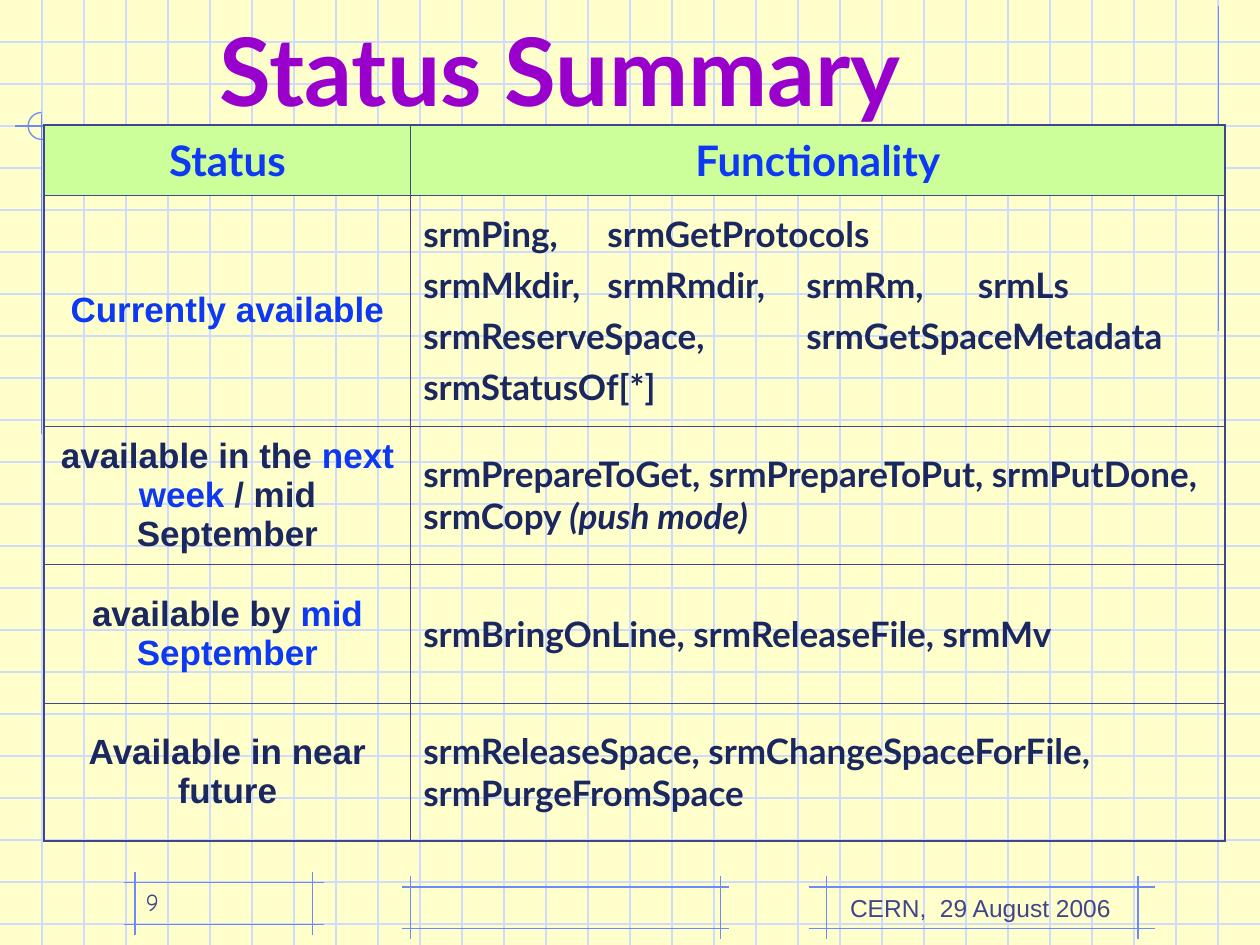
from math import cos, pi, sin

from lxml import etree
from pptx import Presentation
from pptx.dml.color import RGBColor
from pptx.enum.shapes import MSO_CONNECTOR as LINK
from pptx.enum.text import MSO_ANCHOR as ANCHOR, PP_ALIGN as ALIGN
from pptx.oxml import parse_xml
from pptx.oxml.ns import nsdecls, qn
from pptx.util import Cm, Pt

BLUE, NAVY, SLATE, RULE = "0E39F2", "1B285F", "40458C", "6F89F7"
rgb = RGBColor.from_string

deck = Presentation()
deck.slide_width, deck.slide_height = Cm(25.4), Cm(19.05)
slide = deck.slides.add_slide(deck.slide_layouts[5])
shapes = slide.shapes
slide.background.fill.solid()
slide.background.fill.fore_color.rgb = rgb("FFFFCC")


def rule(x1, y1, x2, y2, color=RULE):
    link = shapes.add_connector(LINK.STRAIGHT, Cm(x1), Cm(y1), Cm(x2), Cm(y2))
    link.line.color.rgb = rgb(color)
    link.line.width = Pt(0.75)
    etree.SubElement(link.element.spPr, qn("a:effectLst"))


def style(run, font, size, color, bold=True):
    run.font.name, run.font.size, run.font.bold = font, Pt(size), bold
    run.font.color.rgb = rgb(color)


# Graph paper, three squares to the inch
step = 2.54 / 3
for n in range(1, 23):
    rule(0, n * step, 25.4, n * step, "CFDBFD")
for n in range(1, 30):
    rule(n * step, 0, n * step, 19.05, "CFDBFD")

# Crossed frames for the footer
for left, right, top, inset in [(8.1, 14.7, 17.88, 0.17), (16.31, 23.29, 17.88, 0.35),
                                (2.49, 6.53, 17.79, 0.23)]:
    for y in (top, top + 0.84):
        rule(left, y, right, y)
    for x in (left + inset, right - inset):
        rule(x, top - 0.22, x, top + 1.05)

# Margin rules and the three-quarter circle at their corner
rule(24.56, 0.13, 24.56, 6.68)
rule(5.26, 2.54, 0.3, 2.54)
rule(0.84, 2.29, 0.84, 8.74)
turn = [pi * n / 24 for n in range(37)]
dots = [(Cm(0.84 + 0.27 * cos(a)), Cm(2.54 + 0.27 * sin(a))) for a in turn]
pen = shapes.build_freeform(*dots[0])
pen.add_line_segments(dots[1:], close=False)
arc = pen.convert_to_shape()
arc.shadow.inherit = False
arc.fill.background()
arc.line.color.rgb = rgb(RULE)
arc.line.width = Pt(0.75)

# Footer texts
for text, font, align, spot in [
    ("CERN,  29 August 2006", "Arial", ALIGN.CENTER, (16.41, 17.65, 6.71, 1.07)),
    ("9", "Comic Neue", ALIGN.LEFT, (2.69, 17.32, 3.61, 1.27)),
]:
    frame = shapes.add_textbox(*map(Cm, spot)).text_frame
    frame.word_wrap = True
    frame.vertical_anchor = ANCHOR.BOTTOM
    frame.text = text
    frame.paragraphs[0].alignment = align
    style(frame.paragraphs[0].runs[0], font, 14, SLATE, False)

# Title, brought in front of the graph paper
title = shapes.title
shapes.element.append(title.element)
title.left, title.top, title.width, title.height = map(Cm, (0.89, 0.84, 20.8, 1.68))
frame = title.text_frame
frame.text = "Status Summary"
frame.vertical_anchor = ANCHOR.BOTTOM
frame.margin_left = frame.margin_right = frame.margin_top = frame.margin_bottom = 0
frame.paragraphs[0].alignment = ALIGN.CENTER
style(frame.paragraphs[0].runs[0], "Lato", 54, "9900CC")

# Table: bars set off the stressed words, blue on the left and italic on the right
rows = [
    ("Status", "Functionality"),
    ("|Currently available",
     "srmPing, \tsrmGetProtocols\nsrmMkdir,\tsrmRmdir, \tsrmRm, \tsrmLs\n"
     "srmReserveSpace, \tsrmGetSpaceMetadata\nsrmStatusOf[*]"),
    ("available in the |next week| / mid September",
     "srmPrepareToGet, srmPrepareToPut, srmPutDone, srmCopy |(push mode)"),
    ("available by |mid September", "srmBringOnLine, srmReleaseFile, srmMv"),
    ("Available in near future",
     "srmReleaseSpace, srmChangeSpaceForFile, srmPurgeFromSpace"),
]
table = shapes.add_table(5, 2, Cm(0.89), Cm(2.52), Cm(23.8), Cm(14.45)).table
table.first_row = table.horz_banding = False
for col, width in zip(table.columns, (7.39, 16.41)):
    col.width = Cm(width)
for row, height in zip(table.rows, (1.42, 4.65, 2.79, 2.79, 2.79)):
    row.height = Cm(height)

for r, texts in enumerate(rows):
    for c, text in enumerate(texts):
        cell = table.cell(r, c)
        cell.vertical_anchor = ANCHOR.MIDDLE

        # Borders, heavier on the outside
        props = cell._tc.get_or_add_tcPr()
        for side, outer in (("L", c == 0), ("R", c == 1), ("T", r == 0), ("B", r == 4)):
            props.append(parse_xml(
                f'<a:ln{side} {nsdecls("a")} w="{Pt(1.08 if outer else 0.45)}"><a:solidFill>'
                f'<a:srgbClr val="{SLATE}"/></a:solidFill></a:ln{side}>'))
        if r == 0:
            cell.fill.solid()
            cell.fill.fore_color.rgb = rgb("CCFF99")
        else:
            cell.fill.background()

        # Words
        cell.text_frame.text = text.replace("|", "")
        for n, (para, line) in enumerate(zip(cell.text_frame.paragraphs, text.split("\n"))):
            para.alignment = ALIGN.LEFT if r and c else ALIGN.CENTER
            para.space_before = Pt(5 if n else 0)
            if "\t" in text:
                tabs = etree.SubElement(para._p.get_or_add_pPr(), qn("a:tabLst"))
                for stop in (3.71, 7.72, 11.18):
                    etree.SubElement(tabs, qn("a:tab"), pos=str(Cm(stop)), algn="l")
            if "|" in line:
                para.text = ""
                for run in list(para.runs):
                    para._p.remove(run._r)
                for k, part in enumerate(line.split("|")):
                    if part:
                        run = para.add_run()
                        run.text = part
                        stress = k % 2 == 1
                        style(run, "Lato" if c else "Arial", 20,
                              BLUE if stress and c == 0 else NAVY)
                        run.font.italic = stress and c == 1
            else:
                style(para.runs[0], "Lato" if c or r == 0 else "Arial",
                      20 if r else 24, NAVY if r else BLUE)

deck.save("out.pptx")
